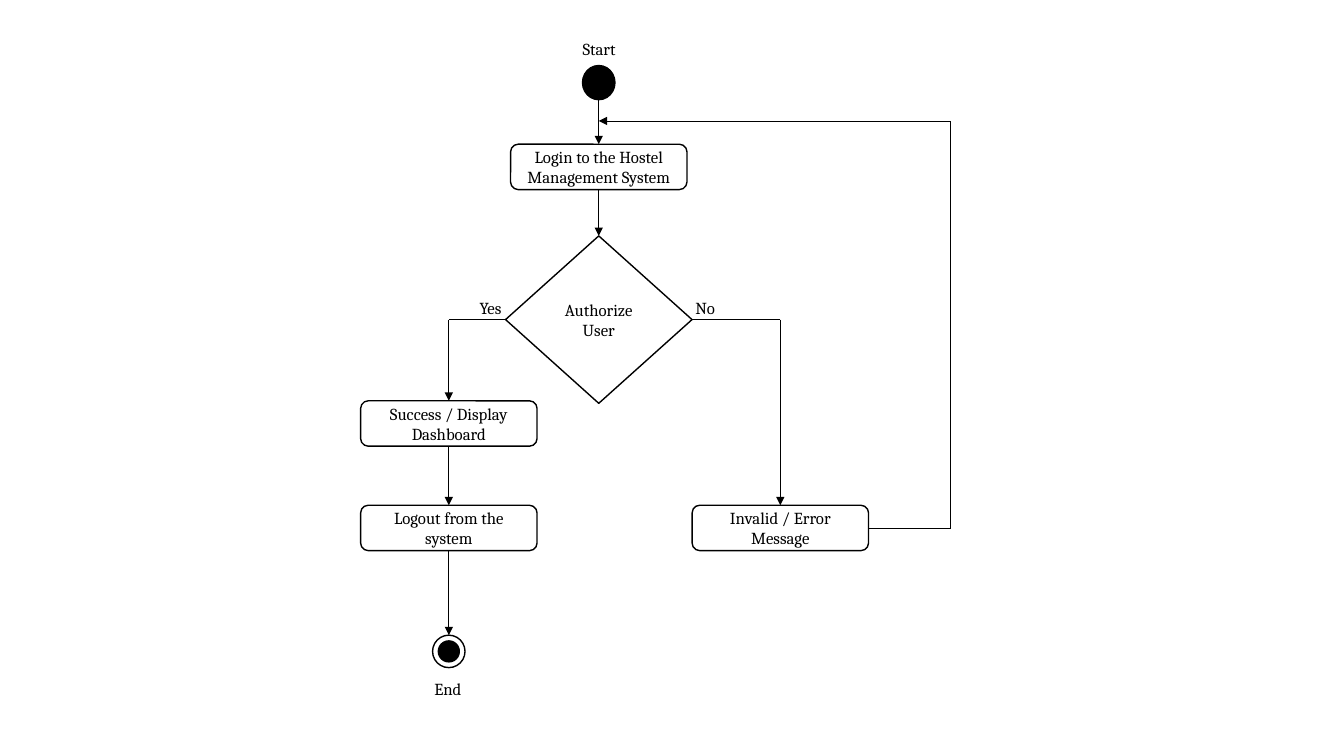
from typing import NamedTuple

from lxml.etree import SubElement
from pptx import Presentation
from pptx.dml.color import RGBColor
from pptx.enum.shapes import MSO_CONNECTOR, MSO_SHAPE
from pptx.enum.text import MSO_ANCHOR, MSO_AUTO_SIZE, PP_ALIGN
from pptx.oxml.ns import qn
from pptx.shapes.autoshape import Shape
from pptx.slide import Slide
from pptx.util import Pt

FONT = "Cambria"
BLACK, WHITE = "000000", "FFFFFF"

# Column centres and row centres of the flow, in points
MAIN_X, SUCCESS_X, ERROR_X, LOOP_X = 427.7, 320.6, 557.4, 679
START_Y, LOOP_Y, LOGIN_Y, DECISION_Y = 59, 86.4, 119.2, 228.3
SUCCESS_Y, LAST_STEP_Y, END_Y = 302.5, 377.1, 465.3
STEP_WIDTH, STEP_HEIGHT = 126, 32.4
DECISION_WIDTH, DECISION_HEIGHT = 133.2, 119.6
START_HEIGHT, END_SIZE = 24.4, 23.2


class Node(NamedTuple):
    """A flowchart shape placed by its centre."""
    kind: MSO_SHAPE
    center_x: float
    center_y: float
    width: float
    height: float
    fill: str = WHITE
    text: str = ""


class Label(NamedTuple):
    """A free caption placed by its top left corner."""
    text: str
    left: float
    top: float
    width: float


class Route(NamedTuple):
    """A chain of straight lines through points."""
    points: list[tuple[float, float]]
    arrow: bool = True


def color(value: str) -> RGBColor:
    """Turn a hex string into a colour."""
    return RGBColor.from_string(value)


def step(center_x: float, center_y: float, text: str) -> Node:
    """Describe a rounded activity box."""
    return Node(MSO_SHAPE.ROUNDED_RECTANGLE, center_x, center_y,
                STEP_WIDTH, STEP_HEIGHT, WHITE, text)


def write_text(shape: Shape, text: str, alignment: PP_ALIGN) -> None:
    """Fill a shape with one formatted paragraph."""
    text_frame = shape.text_frame
    text_frame.text = text
    text_frame.word_wrap = True
    paragraph = text_frame.paragraphs[0]
    paragraph.alignment = alignment
    font = paragraph.runs[0].font
    font.name, font.size = FONT, Pt(12)
    font.color.rgb = color(BLACK)


def draw_node(slide: Slide, node: Node) -> None:
    """Draw a node with its outline and text."""
    shape = slide.shapes.add_shape(
        node.kind, Pt(node.center_x - node.width / 2),
        Pt(node.center_y - node.height / 2), Pt(node.width), Pt(node.height))
    shape.shadow.inherit = False
    shape.fill.solid()
    shape.fill.fore_color.rgb = color(node.fill)
    shape.line.color.rgb = color(BLACK)
    shape.line.width = Pt(1)
    if node.text:
        write_text(shape, node.text, PP_ALIGN.CENTER)
        shape.text_frame.vertical_anchor = MSO_ANCHOR.MIDDLE


def draw_label(slide: Slide, label: Label) -> None:
    """Draw a caption without outline."""
    box = slide.shapes.add_textbox(
        Pt(label.left), Pt(label.top), Pt(label.width), Pt(21.6))
    write_text(box, label.text, PP_ALIGN.LEFT)
    box.text_frame.auto_size = MSO_AUTO_SIZE.SHAPE_TO_FIT_TEXT


def draw_route(slide: Slide, route: Route) -> None:
    """Draw the lines of a route, with an arrowhead on the last one."""
    for start, end in zip(route.points, route.points[1:]):
        connector = slide.shapes.add_connector(
            MSO_CONNECTOR.STRAIGHT, *map(Pt, start), *map(Pt, end))
        connector.line.color.rgb = color(BLACK)
        connector.line.width = Pt(0.5)
        properties = connector._element.spPr
        SubElement(properties, qn("a:effectLst"))
        if route.arrow and end == route.points[-1]:
            SubElement(properties.find(qn("a:ln")), qn("a:tailEnd"), type="triangle")


HALF_STEP = STEP_HEIGHT / 2
HALF_DECISION = DECISION_WIDTH / 2

NODES = [
    Node(MSO_SHAPE.OVAL, MAIN_X, START_Y, END_SIZE, START_HEIGHT, BLACK),
    step(MAIN_X, LOGIN_Y, "Login to the Hostel Management System"),
    Node(MSO_SHAPE.FLOWCHART_DECISION, MAIN_X, DECISION_Y,
         DECISION_WIDTH, DECISION_HEIGHT, WHITE, "Authorize User"),
    step(SUCCESS_X, SUCCESS_Y, "Success / Display Dashboard"),
    step(SUCCESS_X, LAST_STEP_Y, "Logout from the system"),
    step(ERROR_X, LAST_STEP_Y, "Invalid / Error Message"),
    Node(MSO_SHAPE.OVAL, SUCCESS_X, END_Y, END_SIZE, END_SIZE),
    Node(MSO_SHAPE.OVAL, SUCCESS_X, END_Y, 15, 15, BLACK),
]

ROUTES = [
    Route([(MAIN_X, START_Y + START_HEIGHT / 2), (MAIN_X, LOGIN_Y - HALF_STEP)]),
    Route([(MAIN_X, LOGIN_Y + HALF_STEP), (MAIN_X, DECISION_Y - DECISION_HEIGHT / 2)]),
    Route([(MAIN_X - HALF_DECISION, DECISION_Y), (SUCCESS_X, DECISION_Y),
           (SUCCESS_X, SUCCESS_Y - HALF_STEP)]),
    Route([(MAIN_X + HALF_DECISION, DECISION_Y), (ERROR_X, DECISION_Y),
           (ERROR_X, LAST_STEP_Y - HALF_STEP)]),
    Route([(SUCCESS_X, SUCCESS_Y + HALF_STEP), (SUCCESS_X, LAST_STEP_Y - HALF_STEP)]),
    Route([(SUCCESS_X, LAST_STEP_Y + HALF_STEP), (SUCCESS_X, END_Y - END_SIZE / 2)]),
    Route([(ERROR_X + STEP_WIDTH / 2, LAST_STEP_Y), (LOOP_X, LAST_STEP_Y),
           (LOOP_X, LOOP_Y), (MAIN_X, LOOP_Y)]),
]

LABELS = [
    Label("Start", 409, 23.8, 41.8),
    Label("Yes", 335.5, 208.8, 46),
    Label("No", 489.6, 208.8, 46),
    Label("End", 303.1, 481, 39.6),
]

presentation = Presentation()
presentation.slide_width, presentation.slide_height = Pt(960), Pt(540)
slide = presentation.slides.add_slide(presentation.slide_layouts[6])
for node in NODES:
    draw_node(slide, node)
for route in ROUTES:
    draw_route(slide, route)
for label in LABELS:
    draw_label(slide, label)
presentation.save("out.pptx")
